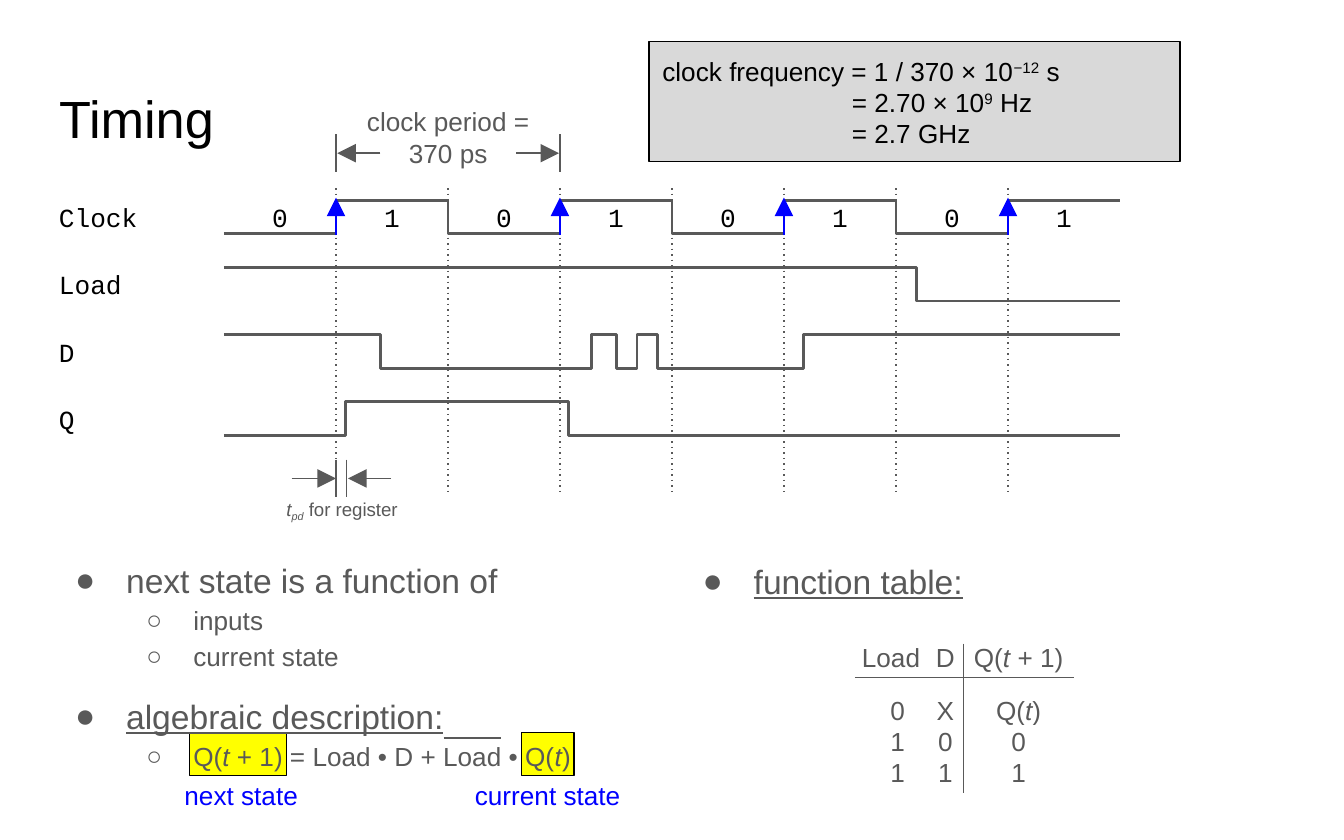
from lxml import etree
from pptx import Presentation
from pptx import util as u
from pptx.dml.color import RGBColor
from pptx.enum import shapes, text
from pptx.oxml import ns

COLORS = {"ink": "000000", "gray": "595959", "panel": "D9D9D9", "mark": "FFFF00", "accent": "0000FF", "page": "FFFFFF"}
BASELINES = {"super": "30000", "sub": "-25000"}
HALF = 2.5 / 3  # half a clock period
EDGES = [HALF * i for i in range(2, 11)]
ROW_TOP, ROW_STEP, SWING = 1.49, 0.5, 0.25
CENTER = text.PP_ALIGN.CENTER
MIDDLE = text.MSO_ANCHOR.MIDDLE
STRAIGHT, ELBOW = shapes.MSO_CONNECTOR.STRAIGHT, shapes.MSO_CONNECTOR.ELBOW


def rgb(name):
    return RGBColor.from_string(COLORS[name])


def add_child(parent, tag, **attributes):
    return etree.SubElement(parent, ns.qn(tag), attributes)


def format_para(para, spans, size, color="gray", face="Arial", align=None):
    """Fill a paragraph from strings or (string, styles) pairs."""
    para.font.size, para.font.name = u.Pt(size), face
    para.font.color.rgb = rgb(color)
    para.alignment = align
    for item in [spans] if isinstance(spans, str) else spans:
        words, styles = (item, "") if isinstance(item, str) else item
        span = para.add_run()
        span.text = words
        for style in styles.split():
            if style == "italic":
                span.font.italic = True
            elif style == "underline":
                span.font.underline = True
            else:
                span.font._element.set("baseline", BASELINES[style])


def set_insets(frame, inset=0.1):
    frame.margin_left = frame.margin_right = u.Inches(inset)
    frame.margin_top = frame.margin_bottom = u.Inches(inset)
    frame.word_wrap = True


def add_paras(frame, lines, *args, **options):
    for i, spans in enumerate(lines):
        para = frame.add_paragraph() if i else frame.paragraphs[0]
        format_para(para, spans, *args, **options)


def add_frame(slide, area):
    frame = slide.shapes.add_textbox(*map(u.Inches, area)).text_frame
    set_insets(frame)
    return frame


def add_label(slide, area, lines, size=14, anchor=text.MSO_ANCHOR.TOP, **options):
    frame = add_frame(slide, area)
    frame.vertical_anchor = anchor
    add_paras(frame, lines, size, **options)


def add_bullets(slide, area, items):
    """Items are (level, spans, points of space before)."""
    frame = add_frame(slide, area)
    for i, (level, spans, before) in enumerate(items):
        para = frame.add_paragraph() if i else frame.paragraphs[0]
        margin, hang, mark, size = [(0.5, 0.38, "●", 18), (1, 0.35, "○", 14)][level]
        para.level = level
        props = para._p.get_or_add_pPr()
        props.set("marL", str(u.Inches(margin)))
        props.set("indent", str(-u.Inches(hang)))
        add_child(add_child(props, "a:buClr"), "a:srgbClr", val=COLORS["gray"])
        add_child(props, "a:buFont", typeface="Arial")
        add_child(props, "a:buChar", char=mark)
        para.line_spacing = 1.15
        if before:
            para.space_before = u.Pt(before)
        format_para(para, spans, size)


def add_line(slide, start, end, color="gray", width=0.75, kind=STRAIGHT, dotted=False, arrow=False):
    """Draw a connector; an arrow points at its end."""
    line = slide.shapes.add_connector(kind, *map(u.Inches, start + end))
    line.line.width = u.Pt(width)
    line.line.color.rgb = rgb(color)
    outline = line.line._get_or_add_ln()
    if dotted:
        add_child(outline, "a:prstDash", val="dot")
    if arrow:
        add_child(outline, "a:tailEnd", type="triangle", w="lg", len="lg")
    add_child(line._element.spPr, "a:effectLst")


def add_rect(slide, area, fill):
    rect = slide.shapes.add_shape(shapes.MSO_SHAPE.RECTANGLE, *map(u.Inches, area))
    rect.shadow.inherit = False
    rect.fill.solid()
    rect.fill.fore_color.rgb = rgb(fill)
    rect.line.color.rgb = rgb("ink")
    rect.line.width = u.Pt(0.75)
    return rect


def add_trace(slide, row, high, toggles):
    """Draw a signal with an elbow at each (x, reach) and flat lines between."""
    top = ROW_TOP + row * ROW_STEP
    level = top if high else top + SWING
    drawn_to = EDGES[0]
    for x, reach in toggles:
        if x - reach > drawn_to:
            add_line(slide, (drawn_to, level), (x - reach, level), width=1.5)
        flipped = 2 * top + SWING - level
        add_line(slide, (x - reach, level), (x + reach, flipped), width=1.5, kind=ELBOW)
        level, drawn_to = flipped, x + reach
    if drawn_to < EDGES[-1]:
        add_line(slide, (drawn_to, level), (EDGES[-1], level), width=1.5)


def add_timing_diagram(slide):
    for x in EDGES[1:-1]:
        add_line(slide, (x, 1.4), (x, 3.69), dotted=True)
    pulses = [(x, 0.13) for x in (4.4, 4.59, 4.74, 4.89, 5.98)]
    signals = [
        ("Clock", False, [(x, 0.6) for x in EDGES[1:-1]]),
        ("Load", True, [(6.82, 0.44)]),
        ("D", True, [(2.83, 1.14)] + pulses),
        ("Q", False, [(2.57, 0.13), (4.23, 0.13)]),
    ]
    for row, (name, high, toggles) in enumerate(signals):
        add_trace(slide, row, high, toggles)
        add_label(slide, (0.34, 1.4 + row * ROW_STEP, 1.3, 0.44), [name], color="ink", face="Courier New")
    for i, x in enumerate(EDGES[:-1]):
        add_label(slide, (x, 1.4, HALF, 0.44), [str(i % 2)], color="ink", face="Courier New", align=CENTER)
    for x in EDGES[1:-1:2]:
        add_line(slide, (x, 1.75), (x, 1.47), color="accent", arrow=True)


def add_dimensions(slide):
    for x, top in [(EDGES[1], 1), (EDGES[3], 1), (EDGES[1], 3.42), (2.58, 3.42)]:
        add_line(slide, (x, top), (x, top + 0.28))
    for start, end, y in [(2.83, 2.51, 1.14), (3.84, 4.16, 1.14), (2.17, 2.5, 3.56), (2.91, 2.59, 3.56)]:
        add_line(slide, (start, y), (end, y), arrow=True)
    add_label(slide, (2.5, 0.67, 1.67, 0.7), ["clock period =", "370 ps"], anchor=MIDDLE, align=CENTER)
    delay = [("t", "italic"), ("pd", "italic sub"), " for register"]
    add_label(slide, (1.74, 3.67, 1.61, 0.25), [delay], size=10, anchor=MIDDLE, align=CENTER)


def add_frequency_box(slide):
    frame = add_rect(slide, (4.83, 0.31, 3.95, 0.89), "panel").text_frame
    set_insets(frame)
    frame.vertical_anchor = text.MSO_ANCHOR.TOP
    lines = [
        ["clock frequency = 1 / 370 × 10", ("−12", "super"), " s"],
        ["= 2.70 × 10", ("9", "super"), " Hz"],
        "= 2.7 GHz",
    ]
    add_paras(frame, lines, 14, color="ink", align=text.PP_ALIGN.LEFT)
    for para in frame.paragraphs[1:]:
        para._p.get_or_add_pPr().set("marL", str(u.Inches(1.41)))


def add_state_notes(slide):
    for left, width in [(1.41, 0.72), (3.88, 0.39)]:
        add_rect(slide, (left, 5.45, width, 0.32), "mark")
    t = ("t", "italic")
    add_bullets(slide, (0.34, 4.02, 4.66, 1.9), [
        (0, "next state is a function of", 0),
        (1, "inputs", 0),
        (1, "current state", 0),
        (0, [("algebraic description:", "underline")], 9.5),
        (1, ["Q(", t, " + 1) = Load • D + Load • Q(", t, ")"], 0),
    ])
    add_line(slide, (3.3, 5.49), (3.73, 5.49))
    for left, words in [(0.84, "next state"), (3.12, "current state")]:
        add_label(slide, (left, 5.7, 1.91, 0.44), [words], color="accent", align=CENTER)


def add_function_table(slide):
    add_bullets(slide, (5.01, 4.03, 4.66, 0.6), [(0, [("function table:", "underline")], 0)])
    t = ("t", "italic")
    rows = [["Load", "D", ["Q(", t, " + 1)"]], ["0", "X", ["Q(", t, ")"]], ["1", "0", "0"], ["1", "1", "1"]]
    widths, heights = [0.54, 0.27, 0.82], [0.28, 0.36, 0.23, 0.23]
    area = (6.36, 4.76, sum(widths), sum(heights))
    table = slide.shapes.add_table(len(rows), len(widths), *map(u.Inches, area)).table
    table.first_row = table.horz_banding = False
    for column, width in zip(table.columns, widths):
        column.width = u.Inches(width)
    for r, (cells, height) in enumerate(zip(rows, heights)):
        table.rows[r].height = u.Inches(height)
        for c, spans in enumerate(cells):
            cell = table.cell(r, c)
            cell.margin_left = cell.margin_right = cell.margin_top = cell.margin_bottom = 0
            if r and c == 0:
                cell.margin_left = u.Inches(0.1)
            cell.vertical_anchor = text.MSO_ANCHOR.BOTTOM if r else MIDDLE
            cell.fill.solid()
            cell.fill.fore_color.rgb = rgb("page")
            format_para(cell.text_frame.paragraphs[0], spans, 14, align=CENTER)
    add_line(slide, (6.36, 5.04), (7.99, 5.04))
    add_line(slide, (7.17, 4.79), (7.17, 5.9))


def main():
    deck = Presentation()
    deck.slide_width, deck.slide_height = u.Inches(10), u.Inches(6.25)
    slide = deck.slides.add_slide(deck.slide_layouts[5])
    title = slide.shapes.title
    title.left, title.top, title.width, title.height = map(u.Inches, (0.34, 0.54, 9.32, 0.7))
    set_insets(title.text_frame)
    title.text_frame.vertical_anchor = text.MSO_ANCHOR.TOP
    add_paras(title.text_frame, ["Timing"], 28, color="ink", align=text.PP_ALIGN.LEFT)
    add_timing_diagram(slide)
    add_dimensions(slide)
    add_frequency_box(slide)
    add_state_notes(slide)
    add_function_table(slide)
    deck.save("out.pptx")


if __name__ == "__main__":
    main()
